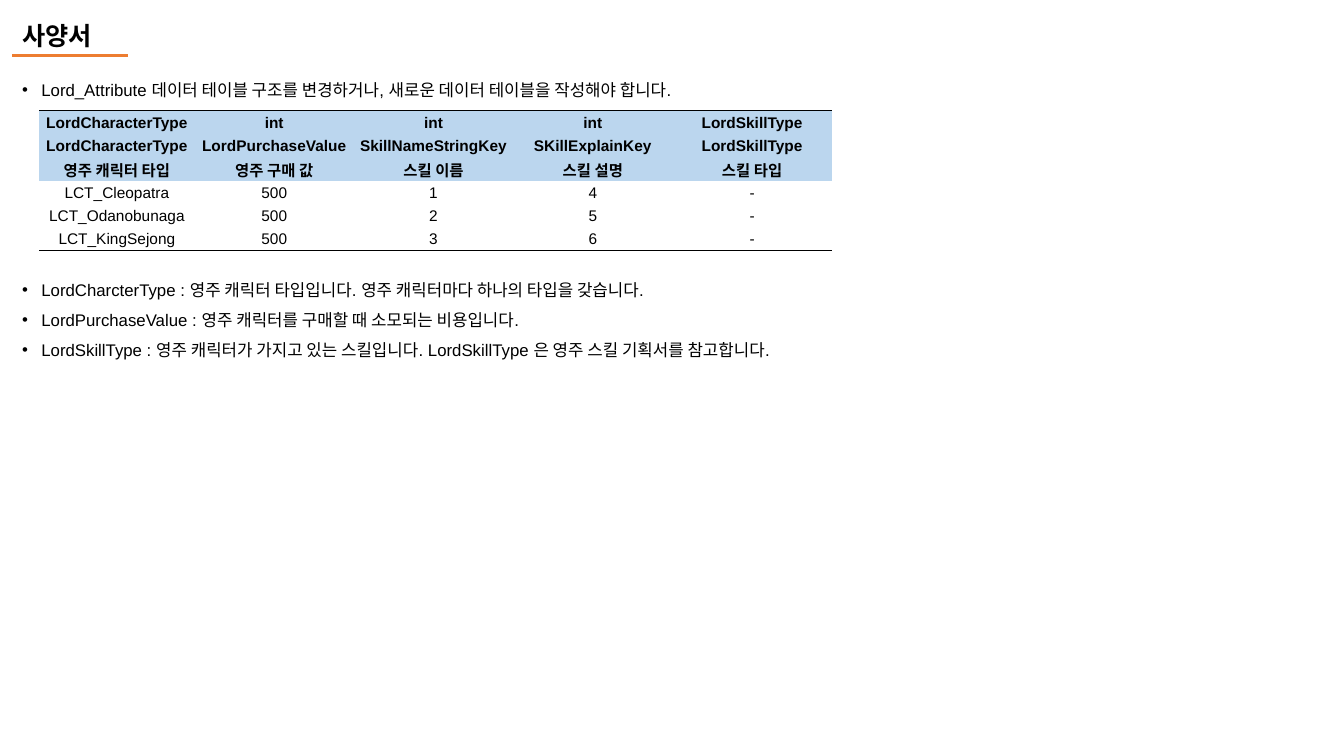
from lxml.etree import SubElement
from pptx import Presentation
from pptx.dml.color import RGBColor
from pptx.enum.shapes import MSO_CONNECTOR as Connector
from pptx.enum.text import MSO_ANCHOR as Anchor, MSO_AUTO_SIZE as AutoSize, PP_ALIGN as Align
from pptx.oxml.ns import qn
from pptx.util import Inches, Pt

BLACK, ORANGE, HEADER_BLUE = "000000", "ED7D31", "BBD6EE"
NO_TABLE_STYLE = "{2D5ABB26-0587-4C30-8999-92F81FD0307C}"
HEADER_ROWS = 3
COLUMN_WIDTHS = [1.54, 1.58, 1.58, 1.58, 1.58]
ROW_HEIGHT = 0.23
TABLE_ROWS = [
    ["LordCharacterType", "int", "int", "int", "LordSkillType"],
    ["LordCharacterType", "LordPurchaseValue", "SkillNameStringKey", "SKillExplainKey", "LordSkillType"],
    ["영주 캐릭터 타입", "영주 구매 값", "스킬 이름", "스킬 설명", "스킬 타입"],
    ["LCT_Cleopatra", "500", "1", "4", "-"],
    ["LCT_Odanobunaga", "500", "2", "5", "-"],
    ["LCT_KingSejong", "500", "3", "6", "-"],
]
INTRODUCTION = ["Lord_Attribute 데이터 테이블 구조를 변경하거나, 새로운 데이터 테이블을 작성해야 합니다."]
DESCRIPTIONS = [
    "LordCharcterType : 영주 캐릭터 타입입니다. 영주 캐릭터마다 하나의 타입을 갖습니다.",
    "LordPurchaseValue : 영주 캐릭터를 구매할 때 소모되는 비용입니다.",
    "LordSkillType : 영주 캐릭터가 가지고 있는 스킬입니다. LordSkillType 은 영주 스킬 기획서를 참고합니다.",
]


def color(value):
    """Turn a hex string into a colour."""
    return RGBColor.from_string(value)


def format_runs(paragraph, size, bold=False):
    """Give every run of a paragraph the slide's font."""
    for run in paragraph.runs:
        run.font.name = "Arial"
        run.font.size = Pt(size)
        run.font.bold = bold
        run.font.color.rgb = color(BLACK)


def place_text(shape, left, top, width, height):
    """Move a placeholder to its box and return its text frame, set from the top."""
    shape.left, shape.top = Inches(left), Inches(top)
    shape.width, shape.height = Inches(width), Inches(height)
    text_frame = shape.text_frame
    text_frame.word_wrap = True
    text_frame.auto_size = AutoSize.NONE
    text_frame.vertical_anchor = Anchor.TOP
    return text_frame


def add_heading(slide, left, top, width, height):
    """Write the title and draw the orange rule under it."""
    text_frame = place_text(slide.shapes.title, left, top, width, height)
    text_frame.text = "사양서"
    paragraph = text_frame.paragraphs[0]
    paragraph.alignment = Align.LEFT
    format_runs(paragraph, 18, True)
    bottom = Inches(top + height)
    rule = slide.shapes.add_connector(
        Connector.STRAIGHT, Inches(left), bottom, Inches(left + 1.15), bottom)
    rule.line.color.rgb = color(ORANGE)
    rule.line.width = Pt(2.25)
    SubElement(rule.element.spPr, qn("a:effectLst"))


def add_bullets(shape, items, left, top, width, height):
    """Fill a body placeholder with a bulleted list."""
    text_frame = place_text(shape, left, top, width, height)
    text_frame.text = "\n".join(items)
    for paragraph in text_frame.paragraphs:
        properties = paragraph._p.get_or_add_pPr()
        properties.set("marL", str(Inches(0.19)))
        properties.set("indent", str(-Inches(0.19)))
        bullet_color = SubElement(properties, qn("a:buClr"))
        SubElement(bullet_color, qn("a:srgbClr"), val=BLACK)
        SubElement(properties, qn("a:buFont"), typeface="Arial")
        SubElement(properties, qn("a:buChar"), char="•")
        paragraph.line_spacing = 1.5
        paragraph.space_before = Pt(0)
        format_runs(paragraph, 12)


def add_border(cell, side):
    """Draw a one-point black border on one side of a cell."""
    line = SubElement(cell._tc.get_or_add_tcPr(), qn(f"a:{side}"), w=str(Pt(1)))
    fill = SubElement(line, qn("a:solidFill"))
    SubElement(fill, qn("a:srgbClr"), val=BLACK)


def format_cell(cell, is_header):
    """Set the margins, fill and text of a table cell."""
    cell.margin_left = cell.margin_right = cell.margin_top = Inches(0.01)
    cell.margin_bottom = 0
    cell.vertical_anchor = Anchor.MIDDLE
    if is_header:
        cell.fill.solid()
        cell.fill.fore_color.rgb = color(HEADER_BLUE)
    else:
        cell.fill.background()
    paragraph = cell.text_frame.paragraphs[0]
    paragraph.alignment = Align.CENTER
    format_runs(paragraph, 11, is_header)


def add_attribute_table(slide, left, top):
    """Add the lord attribute table with its ruled top and bottom."""
    frame = slide.shapes.add_table(
        len(TABLE_ROWS), len(COLUMN_WIDTHS), Inches(left), Inches(top),
        Inches(sum(COLUMN_WIDTHS)), Inches(ROW_HEIGHT * len(TABLE_ROWS)))
    for style in frame.element.iter(qn("a:tableStyleId")):
        style.text = NO_TABLE_STYLE
    table = frame.table
    for column, width in zip(table.columns, COLUMN_WIDTHS):
        column.width = Inches(width)
    for row_index, values in enumerate(TABLE_ROWS):
        table.rows[row_index].height = Inches(ROW_HEIGHT)
        for column_index, value in enumerate(values):
            cell = table.cell(row_index, column_index)
            cell.text_frame.text = value
            if row_index == 0:
                add_border(cell, "lnT")
            if row_index == len(TABLE_ROWS) - 1:
                add_border(cell, "lnB")
            format_cell(cell, row_index < HEADER_ROWS)


def build_specification(presentation):
    """Build the specification slide."""
    slide = presentation.slides.add_slide(presentation.slide_layouts[3])
    add_heading(slide, 0.12, 0.15, 3.44, 0.4)
    add_attribute_table(slide, 0.39, 1.1)
    add_bullets(slide.placeholders[1], INTRODUCTION, 0.12, 0.64, 8.12, 0.4)
    add_bullets(slide.placeholders[2], DESCRIPTIONS, 0.12, 2.62, 13.21, 1.01)


def main():
    """Create and save the presentation."""
    presentation = Presentation()
    presentation.slide_width, presentation.slide_height = Inches(13.33), Inches(7.5)
    build_specification(presentation)
    presentation.save("out.pptx")


if __name__ == "__main__":
    main()
